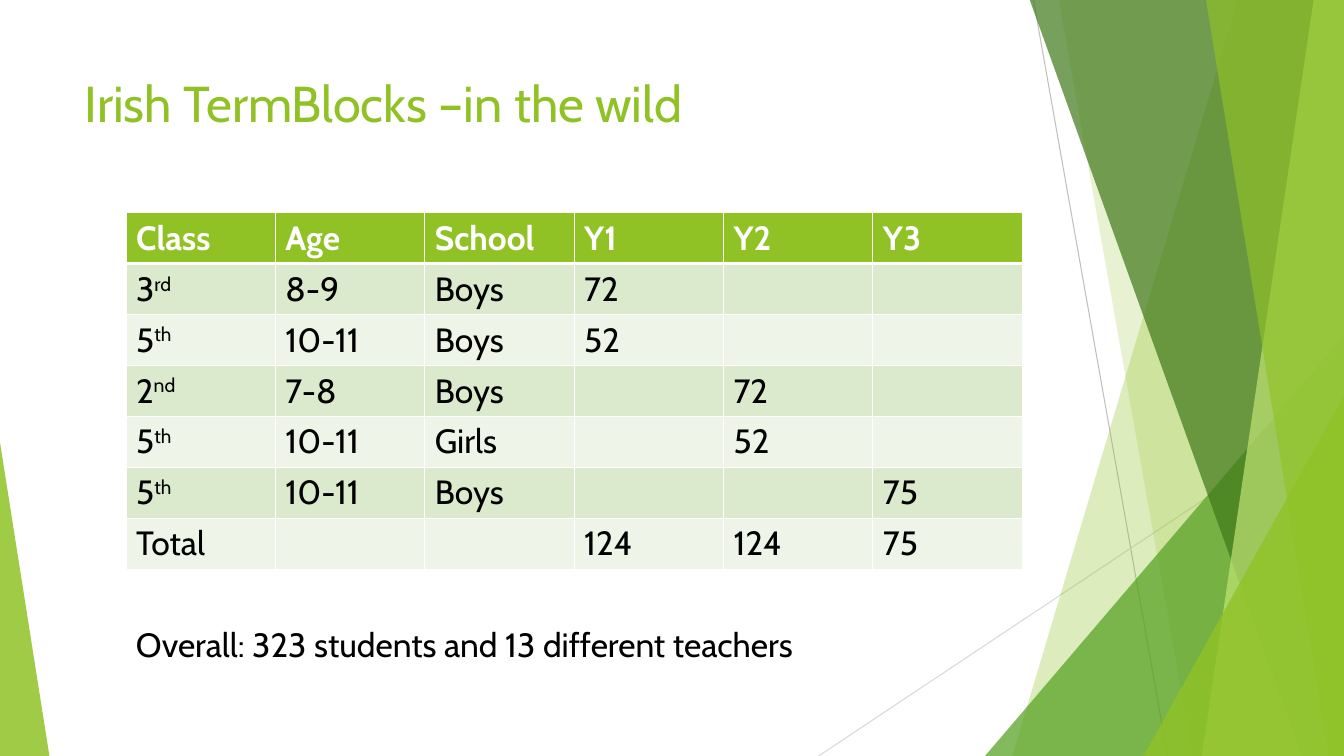
import dataclasses
import typing

import lxml.etree
import pptx
import pptx.dml.color
import pptx.enum.shapes
import pptx.enum.text
import pptx.oxml.ns
import pptx.util

Inches = pptx.util.Inches
qn = pptx.oxml.ns.qn
Point = tuple[float, float]


@dataclasses.dataclass(frozen=True)
class Theme:
    font: str = "Cabin"
    head: float = 36
    body: float = 24
    lime: str = "90C226"
    leaf: str = "54A021"
    moss: str = "3F7819"
    pale: str = "C0E474"
    white: str = "FFFFFF"
    black: str = "000000"
    bands: tuple[str, str] = ("DBE9CD", "EEF4E8")
    rule: float = 1
    thick: float = 3
    hair: float = 0.75


class Ray(typing.NamedTuple):
    start: Point
    end: Point
    color: str


class Shard(typing.NamedTuple):
    """A band from the top edge to the bottom, reaching the right side."""
    top: float
    base: float
    color: str
    alpha: int


class Wedge(typing.NamedTuple):
    left: float
    top: float
    width: float
    apex: float
    color: str
    alpha: int


THEME = Theme()
WIDE, HIGH, EDGE = 13.33, 7.5, -0.01

RAYS = [Ray((10.25, 0), (11.58, HIGH), "BFBFBF"),
        Ray((WIDE, 4.03), (8.12, HIGH), "D9D9D9")]
DECOR = [
    Shard(12.28, 10.04, THEME.lime, 30),
    Shard(10.5, 11.83, THEME.lime, 20),
    Wedge(9.77, 3.33, 3.56, 1, THEME.leaf, 72),
    Shard(10.21, 12.91, THEME.moss, 70),
    Shard(13.03, 11.92, THEME.pale, 70),
    Shard(11.96, 13.18, THEME.lime, 65),
    Wedge(11.34, 3.93, 1.99, 1, THEME.lime, 80),
    Wedge(0, 4.39, 0.49, 0, THEME.lime, 85),
]
# A caret splits off a raised ending
ROWS = [
    ["Class", "Age", "School", "Y1", "Y2", "Y3"],
    ["3^rd", "8-9", "Boys", "72", "", ""],
    ["5^th", "10-11", "Boys", "52", "", ""],
    ["2^nd", "7-8", "Boys", "", "72", ""],
    ["5^th", "10-11", "Girls", "", "52", ""],
    ["5^th", "10-11", "Boys", "", "", "75"],
    ["Total", "", "", "124", "124", "75"],
]


def tint(color: str) -> pptx.dml.color.RGBColor:
    return pptx.dml.color.RGBColor.from_string(color)


def write(para, text: str, size: float, color: str, bold: bool = False) -> None:
    for part, words in enumerate(text.split("^")):
        if not words:
            continue
        run = para.add_run()
        run.text = words
        run.font.name = THEME.font
        run.font.size = pptx.util.Pt(size)
        run.font.bold = bold
        run.font.color.rgb = tint(color)
        if part:
            run.font._element.set("baseline", "30000")


def paint(shape, color: str, alpha: int) -> None:
    shape.shadow.inherit = False
    shape.line.fill.background()
    shape.fill.solid()
    shape.fill.fore_color.rgb = tint(color)
    fill = shape._element.spPr.find(qn("a:solidFill"))
    lxml.etree.SubElement(fill[0], qn("a:alpha"), val=str(alpha * 1000))


def draw_ray(shapes, ray: Ray) -> None:
    ends = [Inches(n) for n in ray.start + ray.end]
    line = shapes.add_connector(pptx.enum.shapes.MSO_CONNECTOR.STRAIGHT, *ends)
    line.line.color.rgb = tint(ray.color)
    line.line.width = pptx.util.Pt(THEME.hair)
    lxml.etree.SubElement(line._element.spPr, qn("a:effectLst"))


def draw_shard(shapes, shard: Shard) -> None:
    pen = shapes.build_freeform(Inches(shard.top), Inches(EDGE))
    rest = [(WIDE, EDGE), (WIDE, HIGH), (shard.base, HIGH)]
    pen.add_line_segments([(Inches(x), Inches(y)) for x, y in rest], close=True)
    paint(pen.convert_to_shape(), shard.color, shard.alpha)


def draw_wedge(shapes, wedge: Wedge) -> None:
    shape = shapes.add_shape(
        pptx.enum.shapes.MSO_SHAPE.ISOSCELES_TRIANGLE, Inches(wedge.left),
        Inches(wedge.top), Inches(wedge.width), Inches(HIGH - wedge.top))
    shape.adjustments[0] = wedge.apex
    paint(shape, wedge.color, wedge.alpha)


def edge(cell, side: str, width: float) -> None:
    props = cell._tc.get_or_add_tcPr()
    line = lxml.etree.SubElement(props, qn(f"a:ln{side}"),
                                 w=str(pptx.util.Pt(width)))
    fill = lxml.etree.SubElement(line, qn("a:solidFill"))
    lxml.etree.SubElement(fill, qn("a:srgbClr"), val=THEME.white)


def draw_table(shapes, rows: list[list[str]]) -> None:
    count, cols = len(rows), len(rows[0])
    table = shapes.add_table(count, cols, Inches(1.25), Inches(2.11),
                             Inches(8.89), Inches(0.5 * count)).table
    for r, row in enumerate(rows):
        head = r == 0
        back = THEME.lime if head else THEME.bands[(r - 1) % 2]
        ink = THEME.white if head else THEME.black
        thick = {0: "B", 1: "T"}.get(r)
        for c, text in enumerate(row):
            cell = table.cell(r, c)
            for side in "LRTB":
                edge(cell, side, THEME.thick if side == thick else THEME.rule)
            cell.fill.solid()
            cell.fill.fore_color.rgb = tint(back)
            write(cell.text_frame.paragraphs[0], text, THEME.body, ink, head)


deck = pptx.Presentation()
deck.slide_width, deck.slide_height = Inches(WIDE), Inches(HIGH)
slide = deck.slides.add_slide(deck.slide_layouts[5])
shapes = slide.shapes

# Backdrop
for ray in RAYS:
    draw_ray(shapes, ray)
for item in DECOR:
    if isinstance(item, Shard):
        draw_shard(shapes, item)
    else:
        draw_wedge(shapes, item)

# Title
title = shapes.title
title.left, title.top = Inches(0.74), Inches(0.67)
title.width, title.height = Inches(9.4), Inches(1.44)
frame = title.text_frame
frame.vertical_anchor = pptx.enum.text.MSO_ANCHOR.TOP
frame.auto_size = pptx.enum.text.MSO_AUTO_SIZE.NONE
frame.paragraphs[0].alignment = pptx.enum.text.PP_ALIGN.LEFT
write(frame.paragraphs[0], "Irish TermBlocks –in the wild", THEME.head, THEME.lime)

# Student counts
draw_table(shapes, ROWS)

# Summary
note = shapes.add_textbox(Inches(1.25), Inches(6.14), Inches(8.89), Inches(0.5))
note.text_frame.word_wrap = True
write(note.text_frame.paragraphs[0],
      "Overall: 323 students and 13 different teachers", THEME.body, THEME.black)

deck.save("out.pptx")
